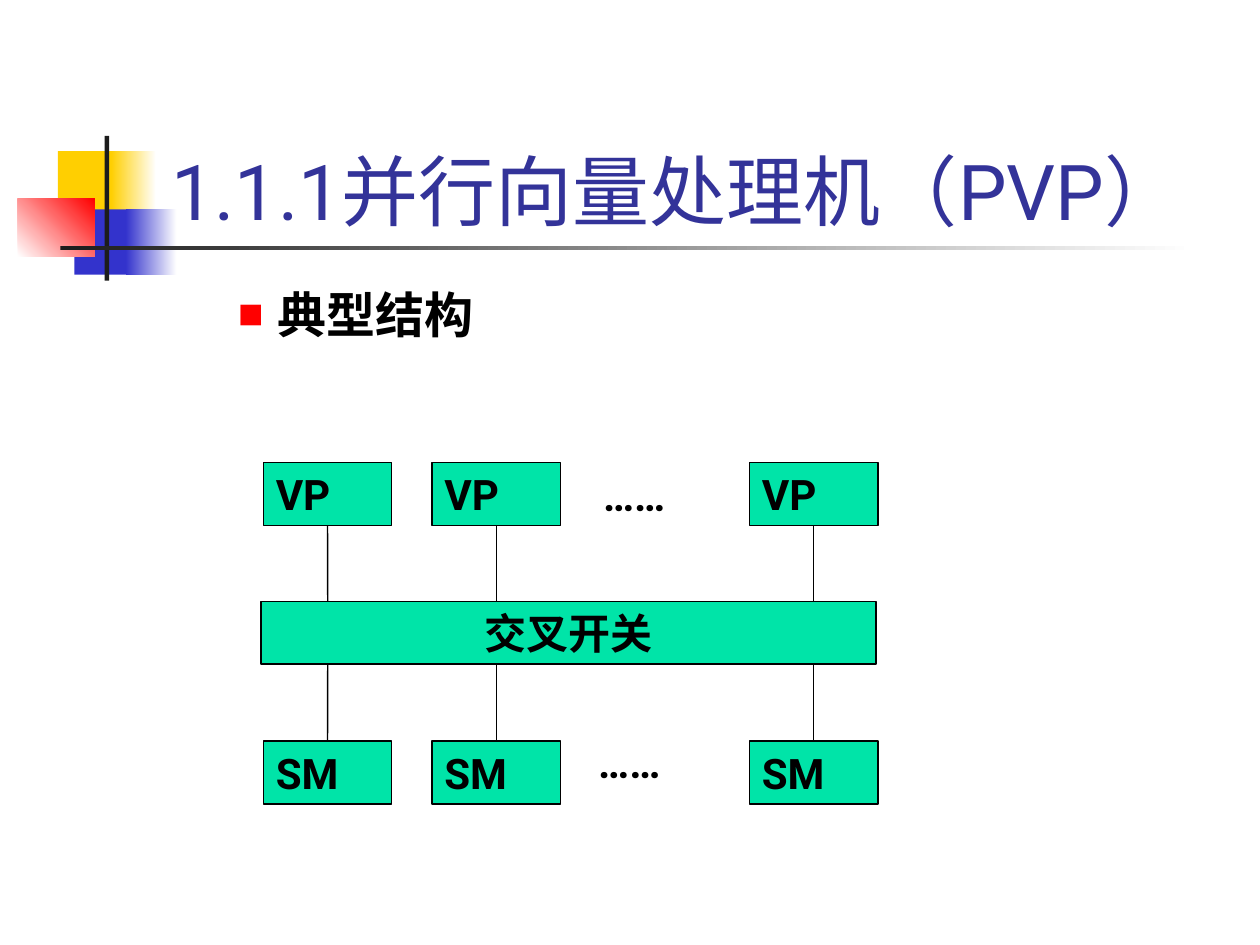
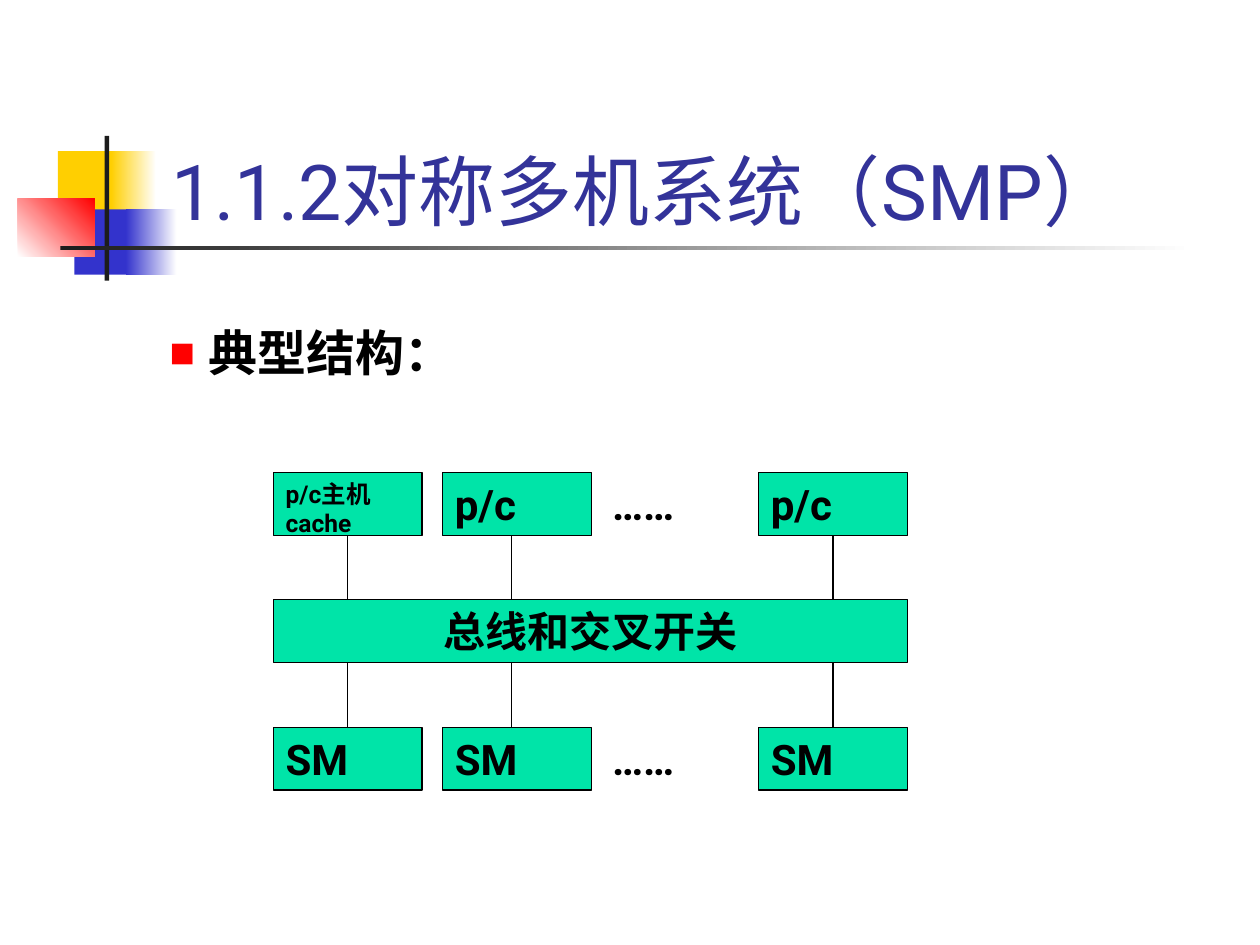
from dataclasses import dataclass
from lxml.etree import SubElement as Sub
from pptx import Presentation
from pptx.dml.color import RGBColor as Rgb
from pptx.enum.lang import MSO_LANGUAGE_ID as Lang
from pptx.enum.shapes import MSO_CONNECTOR as Link, MSO_SHAPE as Kind
from pptx.enum.text import MSO_ANCHOR as Anchor, PP_ALIGN as Align
from pptx.oxml.ns import qn
from pptx.util import Cm, Pt


@dataclass(frozen=True)
class Theme:
    white: str = "FFFFFF"
    black: str = "000000"
    ink: str = "1C1C1C"
    gold: str = "FFCF01"
    blue: str = "3333CC"
    red: str = "FF0000"
    title: str = "333399"
    node: str = "00E4A8"
    latin: str = "Roboto"
    cjk: str = "Noto Sans CJK SC"
    head: int = 44
    body: int = 28
    label: int = 24
    small: int = 14


T = Theme()

# Content: lengths in cm; "shift" moves a column's wires off its centre
DOTS = "……"
SLIDES = [
    dict(title="1.1.1并行向量处理机（PVP）",
         point="典型结构", at=(3.28, 5.61, 21.59, 2.31),
         cols=(5.31, 8.71, 15.11), shift=(0, 0, 0), wide=2.59,
         rows=[(9.32, ("VP", "VP", "VP")), (14.94, ("SM", "SM", "SM"))],
         dots=[(11.91, 9.35), (11.81, 14.73)],
         bar=("交叉开关", 5.26, 12.12, 12.4)),
    dict(title="1.1.2对称多机系统（SMP）",
         point="典型结构：", at=(1.9, 6.38, 19.69, 11.43),
         cols=(5.51, 8.92, 15.29), shift=(0, -0.11, 0), wide=3,
         rows=[(9.53, ("p/c主机\ncache", "p/c", "p/c")),
               (14.66, ("SM", "SM", "SM"))],
         dots=[(12.09, 9.53), (12.09, 14.66)],
         bar=("总线和交叉开关", 5.51, 12.09, 12.78)),
]
HIGH = 1.27

# Corner motif and rule: place, start colour, end colour, angle
DECOR = [
    ((1.17, 3.05, 1.22, 1.32), T.gold, None, 0),
    ((2.24, 3.05, 0.91, 1.32), T.gold, T.white, 0),
    ((1.5, 4.22, 1.17, 1.32), T.blue, None, 0),
    ((2.54, 4.22, 1.02, 1.32), T.blue, T.white, 0),
    ((0.36, 4.01, 1.55, 1.17), T.white, T.red, 45),
    ((2.11, 2.74, 0.09, 2.92), T.ink, None, 0),
    ((1.22, 4.95, 22.86, 0.1), T.ink, T.white, 0),
]


def color(hue):
    return Rgb.from_string(hue)


def write(shape, text, size=T.label, hue=T.black, bold=True, font=T.latin,
          align=Align.LEFT, anchor=Anchor.TOP):
    frame = shape.text_frame
    frame.word_wrap = True
    frame.vertical_anchor = anchor
    for i, line in enumerate(text.split("\n")):
        para = frame.add_paragraph() if i else frame.paragraphs[0]
        para.alignment = align
        run = para.add_run()
        run.text = line
        face = run.font
        face.size, face.bold, face.name = Pt(size), bold, font
        face.color.rgb = color(hue)
        face.language_id = Lang.SIMPLIFIED_CHINESE
        Sub(face._element, qn("a:ea"), typeface=font)


def box(slide, place, fill, line=None, weight=0.75):
    shape = slide.shapes.add_shape(Kind.RECTANGLE, *map(Cm, place))
    shape.shadow.inherit = False
    shape.fill.solid()
    shape.fill.fore_color.rgb = color(fill)
    if line:
        shape.line.color.rgb = color(line)
        shape.line.width = Pt(weight)
    else:
        shape.line.fill.background()
    return shape


def decorate(slide, layout):
    """Build the motif and place it on the shared layout."""
    for i, (place, start, end, angle) in enumerate(DECOR):
        shape = box(slide, place, start)
        if end:
            shape.fill.gradient()
            shape.fill.gradient_angle = angle
            for stop, hue in zip(shape.fill.gradient_stops, (start, end)):
                stop.color.rgb = color(hue)
        layout.shapes._spTree.insert(2 + i, shape._element)


def bullet(slide, text, place):
    area = slide.shapes.add_textbox(*map(Cm, place))
    props = area.text_frame.paragraphs[0]._p.get_or_add_pPr()
    props.set("marL", str(Cm(2.06)))
    props.set("indent", str(-Cm(0.79)))
    Sub(Sub(props, qn("a:buClr")), qn("a:srgbClr"), val=T.red)
    Sub(props, qn("a:buSzPct"), val="55000")
    Sub(props, qn("a:buFont"), typeface=T.latin)
    Sub(props, qn("a:buChar"), char="■")
    write(area, text, size=T.body)


def wire(slide, x, top, end, node, side):
    """Draw a wire from a node's side to the bar."""
    line = slide.shapes.add_connector(Link.STRAIGHT, Cm(x), Cm(top),
                                      Cm(x), Cm(end))
    line.line.color.rgb = color(T.black)
    line.line.width = Pt(0.75)
    Sub(line._element.spPr, qn("a:effectLst"))
    if node:
        line.begin_connect(node, side)


def diagram(slide, data):
    name, left, top, wide = data["bar"]
    bar = box(slide, (left, top, wide, HIGH), T.node, T.black)
    write(bar, name, font=T.cjk, align=Align.CENTER)
    for x, y in data["dots"]:
        gap = box(slide, (x, y, data["wide"], HIGH), T.white, T.white, 2)
        write(gap, DOTS)
    for y, names in data["rows"]:
        above = y < top
        start, end, side = (y + HIGH, top, 2) if above else (y, top + HIGH, 0)
        for x, shift, label in zip(data["cols"], data["shift"], names):
            node = box(slide, (x, y, data["wide"], HIGH), T.node, T.black)
            write(node, label, size=T.small if "\n" in label else T.label)
            mid = x + data["wide"] / 2 + shift
            wire(slide, mid, start, end, None if shift else node, side)


def main():
    deck = Presentation()
    deck.slide_width, deck.slide_height = Cm(25.4), Cm(19.05)
    layout = deck.slide_layouts[5]
    for i, data in enumerate(SLIDES):
        slide = deck.slides.add_slide(layout)
        if not i:
            decorate(slide, layout)
        title = slide.shapes.title
        title.left, title.top = Cm(3.2), Cm(1.7)
        title.width, title.height = Cm(21.64), Cm(3.18)
        write(title, data["title"], size=T.head, hue=T.title, bold=False,
              anchor=Anchor.BOTTOM)
        bullet(slide, data["point"], data["at"])
        diagram(slide, data)
    deck.save("out.pptx")


if __name__ == "__main__":
    main()
